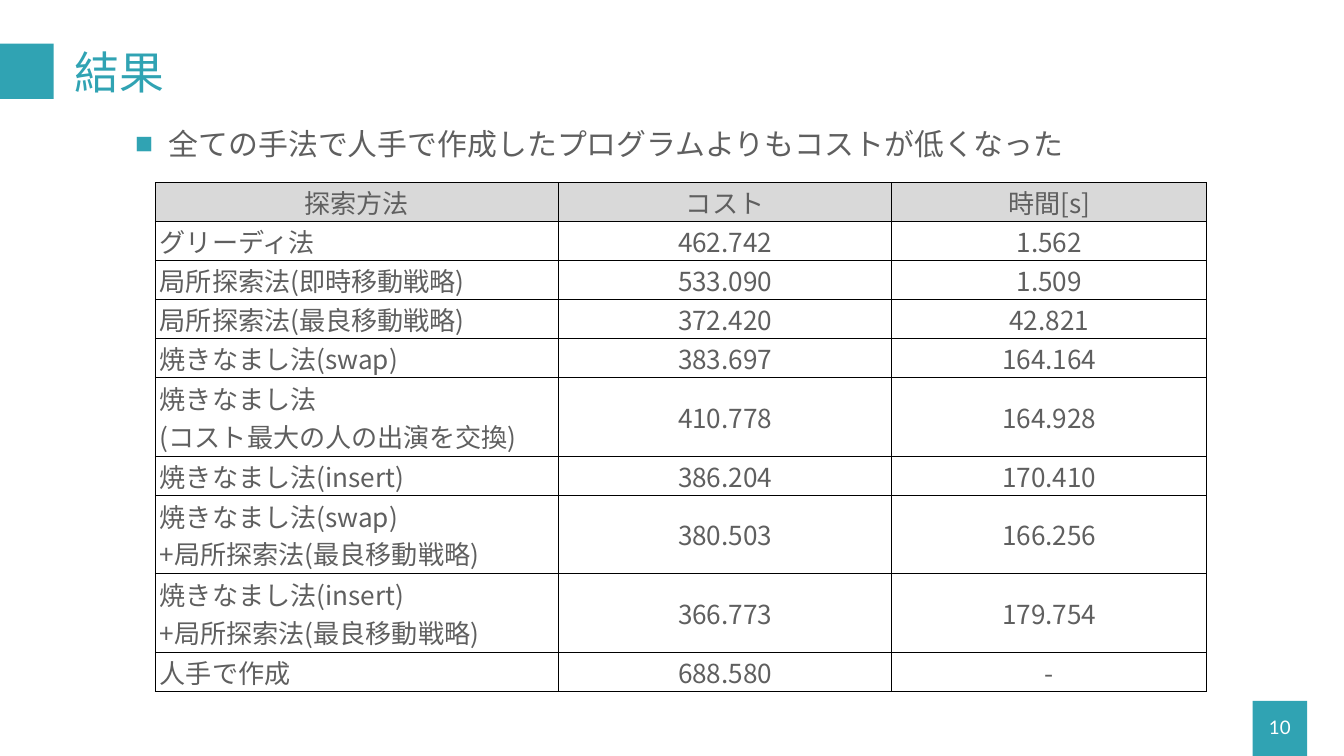
"""Build the results slide comparing cost and time of the search methods."""
from lxml.etree import SubElement
from pptx import Presentation
from pptx.dml.color import RGBColor
from pptx.enum.shapes import MSO_SHAPE
from pptx.enum.text import MSO_ANCHOR, MSO_AUTO_SIZE, PP_ALIGN
from pptx.oxml.ns import qn
from pptx.util import Inches, Pt

COLORS = {"accent": "30A3B3", "text": "5F5F5F", "header": "D9D9D9",
          "border": "000000", "white": "FFFFFF"}
CJK_FONT = "Noto Sans CJK JP"
HEADERS = ["探索方法", "コスト", "時間[s]"]
RESULTS = [
    ("グリーディ法", "462.742", "1.562"),
    ("局所探索法(即時移動戦略)", "533.090", "1.509"),
    ("局所探索法(最良移動戦略)", "372.420", "42.821"),
    ("焼きなまし法(swap)", "383.697", "164.164"),
    ("焼きなまし法\n(コスト最大の人の出演を交換)", "410.778", "164.928"),
    ("焼きなまし法(insert)", "386.204", "170.410"),
    ("焼きなまし法(swap)\n+局所探索法(最良移動戦略)", "380.503", "166.256"),
    ("焼きなまし法(insert)\n+局所探索法(最良移動戦略)", "366.773", "179.754"),
    ("人手で作成", "688.580", "-"),
]


def add_span(para, text, size, color, font="Lato"):
    """Add one formatted run to a paragraph."""
    span = para.add_run()
    span.text = text
    span.font.size = Pt(size)
    span.font.color.rgb = RGBColor.from_string(COLORS[color])
    span.font.name = font
    SubElement(span.font._element, qn("a:ea"), typeface=CJK_FONT)


def place(shape, left, top, width, height, anchor):
    """Position a text shape and return its first paragraph."""
    shape.left, shape.top = Inches(left), Inches(top)
    shape.width, shape.height = Inches(width), Inches(height)
    frame = shape.text_frame
    frame.word_wrap = True
    frame.auto_size = MSO_AUTO_SIZE.NONE
    frame.vertical_anchor = anchor
    return frame.paragraphs[0]


deck = Presentation()
deck.slide_width, deck.slide_height = Inches(20), Inches(11.25)
page = deck.slides.add_slide(deck.slide_layouts[1])

for left, top in [(18.64, 10.43), (-0.01, 0.65)]:
    block = page.shapes.add_shape(MSO_SHAPE.RECTANGLE, Inches(left), Inches(top),
                                  Inches(0.81), Inches(0.82))
    block.shadow.inherit = False
    block.fill.solid()
    block.fill.fore_color.rgb = RGBColor.from_string(COLORS["accent"])
    block.line.fill.background()

para = place(page.shapes.title, 1.01, 0.52, 18.25, 1.18, MSO_ANCHOR.MIDDLE)
para.alignment = PP_ALIGN.LEFT
para.line_spacing = 0.9
add_span(para, "結果", 48, "accent")

para = place(page.placeholders[1], 1.91, 1.71, 14.25, 1, MSO_ANCHOR.TOP)
para.line_spacing = 1.2
para.space_before = Pt(24)
add_span(para, "全ての手法で人手で作成したプログラムよりもコストが低くなった", 32, "text")
properties = para._p.get_or_add_pPr()
properties.set("marL", str(Inches(0.5)))
properties.set("indent", str(-Inches(0.5)))
bullet_color = SubElement(properties, qn("a:buClr"))
SubElement(bullet_color, qn("a:srgbClr"), val=COLORS["accent"])
SubElement(properties, qn("a:buFont"), typeface="Arial")
SubElement(properties, qn("a:buChar"), char="■")

number_box = page.shapes.add_textbox(0, 0, 0, 0)
para = place(number_box, 18.64, 10.52, 0.81, 0.6, MSO_ANCHOR.MIDDLE)
para.alignment = PP_ALIGN.CENTER
add_span(para, "10", 20, "white")

rows = [HEADERS, *RESULTS]
table = page.shapes.add_table(len(rows), len(HEADERS), Inches(2.31), Inches(2.72),
                              Inches(15.65), Inches(7.58)).table
table.first_row = table.horz_banding = False
for column, width in zip(table.columns, [6, 4.96, 4.69]):
    column.width = Inches(width)

for row_index, values in enumerate(rows):
    table.rows[row_index].height = Inches(1.17 if "\n" in values[0] else 0.58)
    for column_index, value in enumerate(values):
        cell = table.cell(row_index, column_index)
        cell.vertical_anchor = MSO_ANCHOR.MIDDLE
        cell.margin_left = cell.margin_right = Inches(0.07)
        cell.margin_top = cell.margin_bottom = 0
        for side in ("lnL", "lnR", "lnT", "lnB"):
            edge = SubElement(cell._tc.get_or_add_tcPr(), qn(f"a:{side}"), w=str(Pt(1)))
            edge_fill = SubElement(edge, qn("a:solidFill"))
            SubElement(edge_fill, qn("a:srgbClr"), val=COLORS["border"])
        if row_index == 0:
            cell.fill.solid()
            cell.fill.fore_color.rgb = RGBColor.from_string(COLORS["header"])
        else:
            cell.fill.background()
        centered = row_index == 0 or column_index > 0
        for line_index, line in enumerate(value.split("\n")):
            frame = cell.text_frame
            para = frame.add_paragraph() if line_index else frame.paragraphs[0]
            para.alignment = PP_ALIGN.CENTER if centered else PP_ALIGN.LEFT
            add_span(para, line, 28, "text", CJK_FONT)

deck.save("out.pptx")
